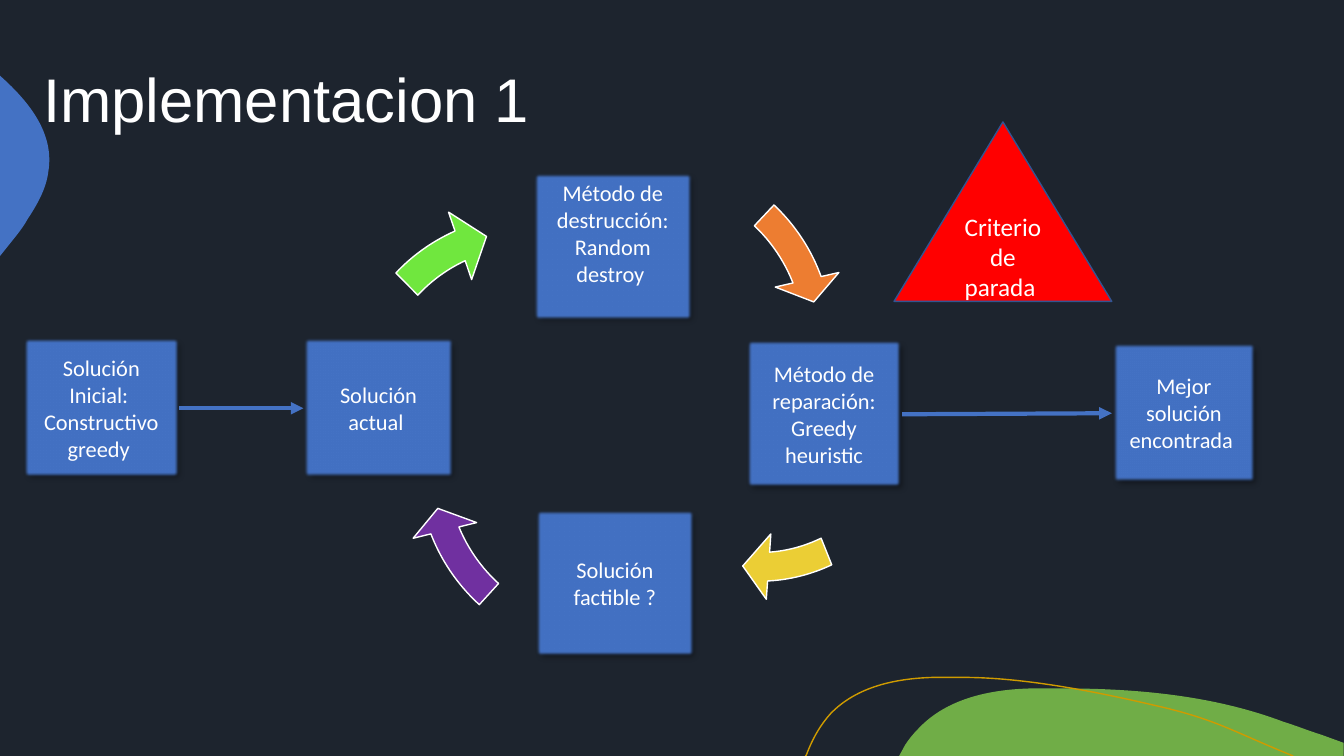
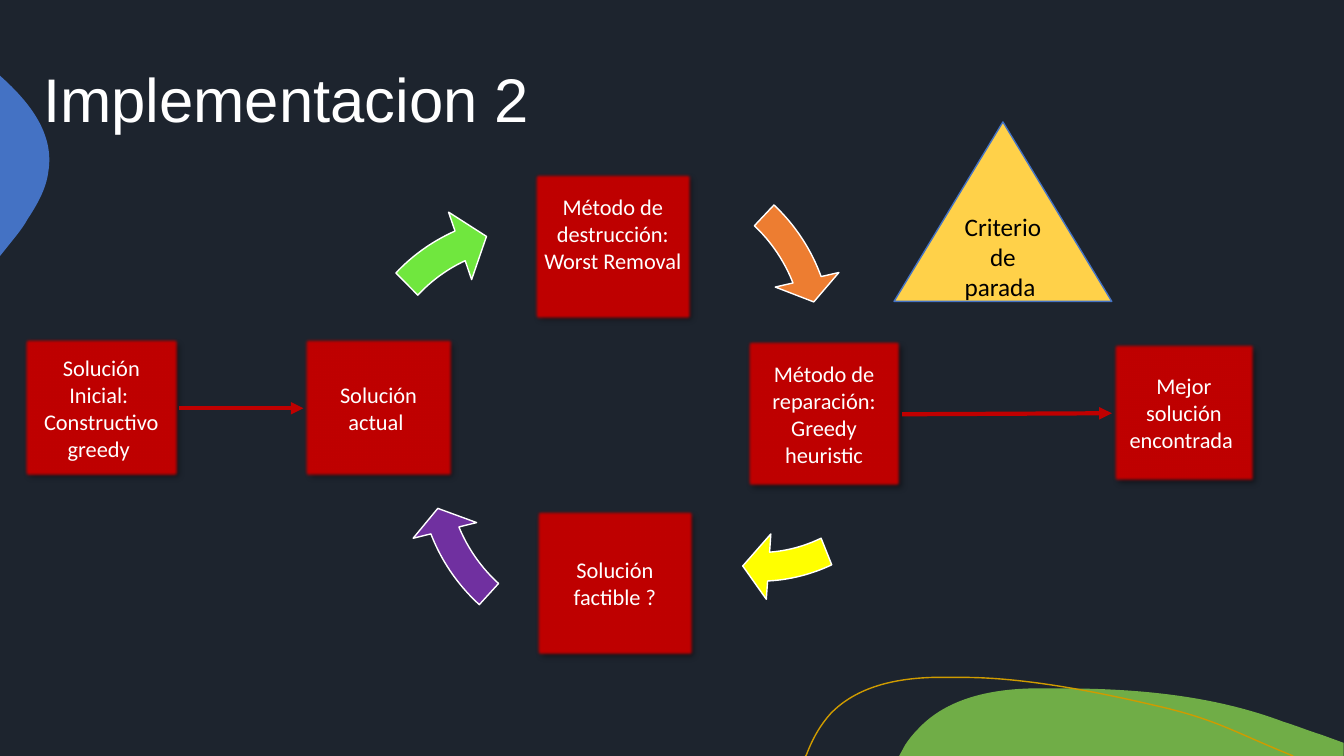
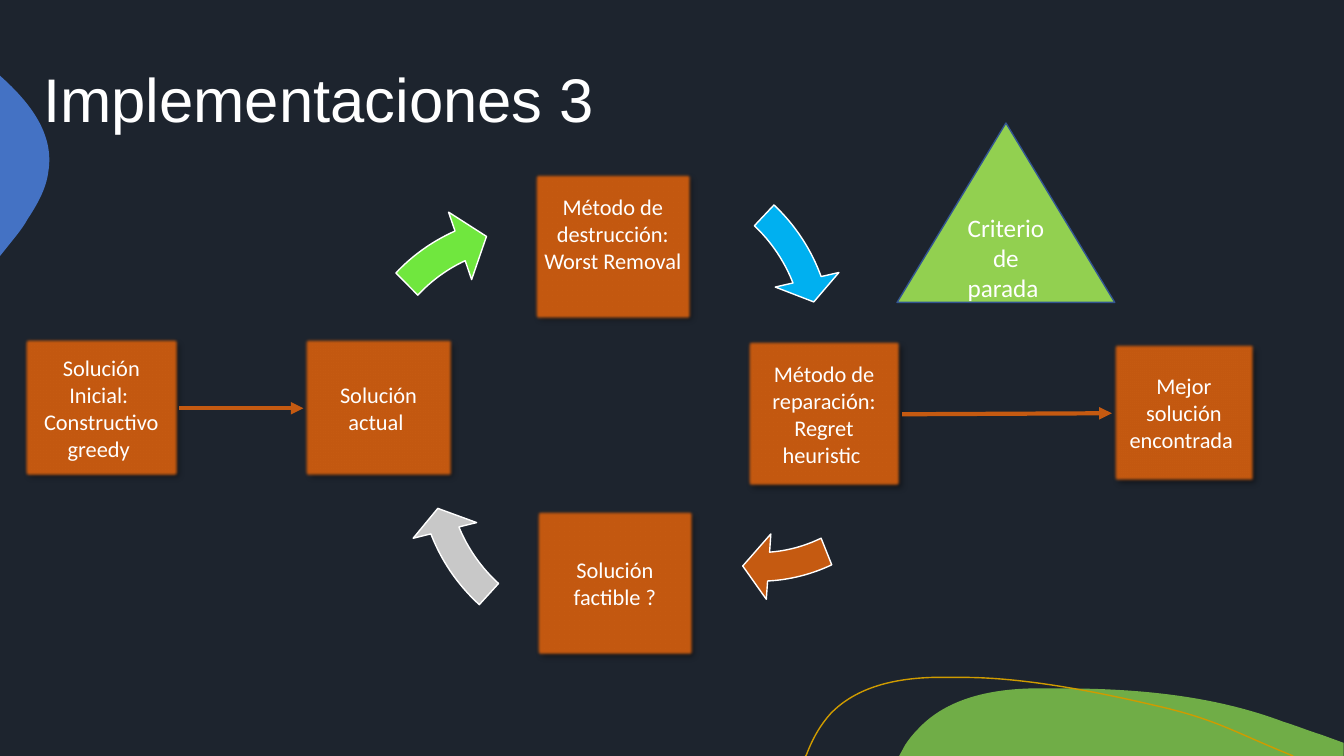
from lxml.etree import SubElement
from pptx import Presentation
from pptx.dml.color import RGBColor
from pptx.enum.shapes import MSO_CONNECTOR, MSO_SHAPE
from pptx.enum.text import MSO_ANCHOR, PP_ALIGN
from pptx.oxml.ns import qn
from pptx.util import Inches, Pt

BACKGROUND, WHITE, BLACK = "1D242E", "FFFFFF", "000000"
BLUE, DARK_BLUE, GREEN, GOLD = "4472C4", "325491", "70AD47", "CF9B00"
RED, BROWN, LIME, ORANGE, PURPLE = "C00000", "C55A11", "70E73E", "ED7D31", "7030A0"

SLIDES = [
    {"title": "Implementacion 1", "main": BLUE,
     "destroy": "Random destroy ", "repair": "Greedy heuristic",
     "arrows": [ORANGE, "EBCE35", PURPLE, LIME],
     "triangle": (8.87, 1.21, "FF0000", DARK_BLUE, WHITE)},
    {"title": "Implementacion 2", "main": RED,
     "destroy": "Worst Removal ", "repair": "Greedy heuristic",
     "arrows": [ORANGE, "FFFF00", PURPLE, LIME],
     "triangle": (8.87, 1.21, "FFD149", BLUE, BLACK)},
    {"title": "Implementaciones 3", "main": BROWN,
     "destroy": "Worst Removal ", "repair": "Regret heuristic ",
     "arrows": ["00B0F0", BROWN, "C8C8C8", LIME],
     "triangle": (8.9, 1.22, "92D050", DARK_BLUE, WHITE)},
]

BOXES = [
    ((0.23, 3.35, 1.55, 1.39), ["Solución Inicial: ", "Constructivo greedy "], 0.05),
    ((3.01, 3.35, 1.49, 1.39), ["Solución actual "], 0.05),
    ((5.29, 1.71, 1.58, 1.47), ["Método de destrucción:", "{destroy}"], 0.31),
    ((5.31, 5.05, 1.58, 1.47), ["Solución factible ?"], 0.05),
    ((7.4, 3.37, 1.55, 1.47), ["Método de reparación:", "{repair}"], 0.05),
    ((11.03, 3.4, 1.43, 1.39), ["Mejor solución encontrada "], 0.05),
]

CYCLE = [
    ((4.39, 1.35, 4.05, 4.05), 330.2, 5.5, 205.85),
    ((5.47, 1.5, 4.06, 4.45), 355.1, 54.67, 43.85),
    ((3.97, 2.61, 4.05, 4.05), 329.2, 113.5, 97.85),
    ((3.28, 1.86, 4.42, 4.85), 324.2, 167.5, 156.63),
]

LINKS = [(1.78, 4.05, 3.01, 4.05), (8.95, 4.11, 11.03, 4.1)]

HILL = [
    (10.54, 6.83), (11.28, 6.83, 12.04, 6.9, 12.73, 7.16),
    (12.86, 7.2, 12.98, 7.25, 13.11, 7.29), (13.33, 7.37), (13.33, 7.5),
    (8.92, 7.5), (8.98, 7.39), (9.02, 7.33, 9.06, 7.28, 9.11, 7.23),
    (9.39, 6.93, 9.82, 6.84, 10.23, 6.83), (10.33, 6.83, 10.43, 6.83, 10.54, 6.83),
]
BLOB = [
    (0, 0.75), (0.01, 0.76), (0.3, 1.02, 0.54, 1.33, 0.48, 1.7),
    (0.46, 1.87, 0.37, 2.03, 0.27, 2.18), (0.24, 2.24, 0.17, 2.33, 0.08, 2.44), (0, 2.54),
]
WAVE = [
    (7.99, 7.5), (8, 7.49), (8.06, 7.33, 8.14, 7.19, 8.24, 7.08),
    (8.5, 6.81, 8.89, 6.73, 9.26, 6.72), (9.55, 6.72),
    (10.22, 6.72, 11, 6.89, 11.55, 7.02), (12.09, 7.15, 12.26, 7.27, 12.83, 7.5),
]


def color(value):
    return RGBColor.from_string(value)


def paint(shape, fill=None, line=None):
    shape.shadow.inherit = False
    if fill:
        shape.fill.solid()
        shape.fill.fore_color.rgb = color(fill)
    else:
        shape.fill.background()
    if line:
        shape.line.color.rgb = color(line)
        shape.line.width = Pt(1)
    else:
        shape.line.fill.background()


def write(shape, lines, size, font="Calibri", ink=WHITE, align=PP_ALIGN.CENTER):
    frame = shape.text_frame
    frame.word_wrap = True
    frame.vertical_anchor = MSO_ANCHOR.MIDDLE
    frame.text = "\n".join(lines)
    for paragraph in frame.paragraphs:
        paragraph.alignment = align
        paragraph.font.size = Pt(size)
        paragraph.font.name = font
        paragraph.font.color.rgb = color(ink)


def add_preset(slide, preset, bounds, fill, line):
    shape = slide.shapes.add_shape(preset, *map(Inches, bounds))
    paint(shape, fill, line)
    return shape


def add_outline(slide, segments, fill=None, line=None):
    start, *ends = [tuple(map(Inches, segment[-2:])) for segment in segments]
    builder = slide.shapes.build_freeform(*start)
    builder.add_line_segments(ends, close=fill is not None)
    shape = builder.convert_to_shape()
    steps = list(shape._element.spPr.iter(qn("a:lnTo")))
    for step, segment in zip(steps, segments[1:]):
        if len(segment) == 6:
            bend(step, segment, shape.left, shape.top)
    paint(shape, fill, line)


def bend(step, segment, left, top):
    curve = step.getparent().makeelement(qn("a:cubicBezTo"))
    for x, y in (segment[:2], segment[2:4], segment[4:]):
        SubElement(curve, qn("a:pt"), x=str(Inches(x) - left), y=str(Inches(y) - top))
    step.getparent().replace(step, curve)


def add_soft_shadow(shape):
    effects = shape._element.spPr.find(qn("a:effectLst"))
    shadow = SubElement(effects, qn("a:outerShdw"), blurRad=str(Pt(4)), dist=str(Pt(3)),
                        dir="2700000", algn="tl", rotWithShape="0")
    shade = SubElement(shadow, qn("a:srgbClr"), val=BLACK)
    SubElement(shade, qn("a:alpha"), val="40000")
    SubElement(effects, qn("a:softEdge"), rad=str(Pt(2.5)))


def add_box(slide, content, bounds, lines, bottom):
    box = add_preset(slide, MSO_SHAPE.RECTANGLE, bounds, content["main"], DARK_BLUE)
    add_soft_shadow(box)
    write(box, [line.format(**content) for line in lines], 16)
    box.text_frame.margin_bottom = Inches(bottom)


def add_cycle_arrow(slide, fill, bounds, rotation, end, start):
    arrow = add_preset(slide, MSO_SHAPE.CIRCULAR_ARROW, bounds, fill, WHITE)
    arrow.rotation = rotation
    for index, value in enumerate((0.07, 4.65, end, start, 0.08)):
        arrow.adjustments[index] = value


def add_link(slide, ends, ink):
    link = slide.shapes.add_connector(MSO_CONNECTOR.STRAIGHT, *map(Inches, ends))
    link.line.color.rgb = color(ink)
    link.line.width = Pt(3)
    SubElement(link.line._get_or_add_ln(), qn("a:tailEnd"), type="triangle")
    SubElement(link._element.spPr, qn("a:effectLst"))


def add_base(presentation, title):
    slide = presentation.slides.add_slide(presentation.slide_layouts[6])
    add_outline(slide, HILL, fill=GREEN)
    add_outline(slide, BLOB, fill=BLUE)
    add_outline(slide, WAVE, line=GOLD)
    heading = slide.shapes.add_textbox(*map(Inches, (0.33, 0.18, 11.67, 1.67)))
    write(heading, [title], 44, font="Arial", align=PP_ALIGN.LEFT)
    heading.text_frame.paragraphs[0].line_spacing = 0.9
    return slide


def add_implementation(presentation, content):
    slide = add_base(presentation, content["title"])
    for box in BOXES:
        add_box(slide, content, *box)
    for fill, arrow in zip(content["arrows"], CYCLE):
        add_cycle_arrow(slide, fill, *arrow)
    for ends in LINKS:
        add_link(slide, ends, content["main"])
    left, top, fill, line, ink = content["triangle"]
    triangle = add_preset(slide, MSO_SHAPE.ISOSCELES_TRIANGLE,
                          (left, top, 2.16, 1.78), fill, line)
    write(triangle, ["Criterio de parada "], 18, ink=ink)


def main():
    presentation = Presentation()
    presentation.slide_width = Inches(40 / 3)
    presentation.slide_height = Inches(7.5)
    backdrop = presentation.slide_master.background.fill
    backdrop.solid()
    backdrop.fore_color.rgb = color(BACKGROUND)
    for content in SLIDES:
        add_implementation(presentation, content)
    presentation.save("out.pptx")


if __name__ == "__main__":
    main()
